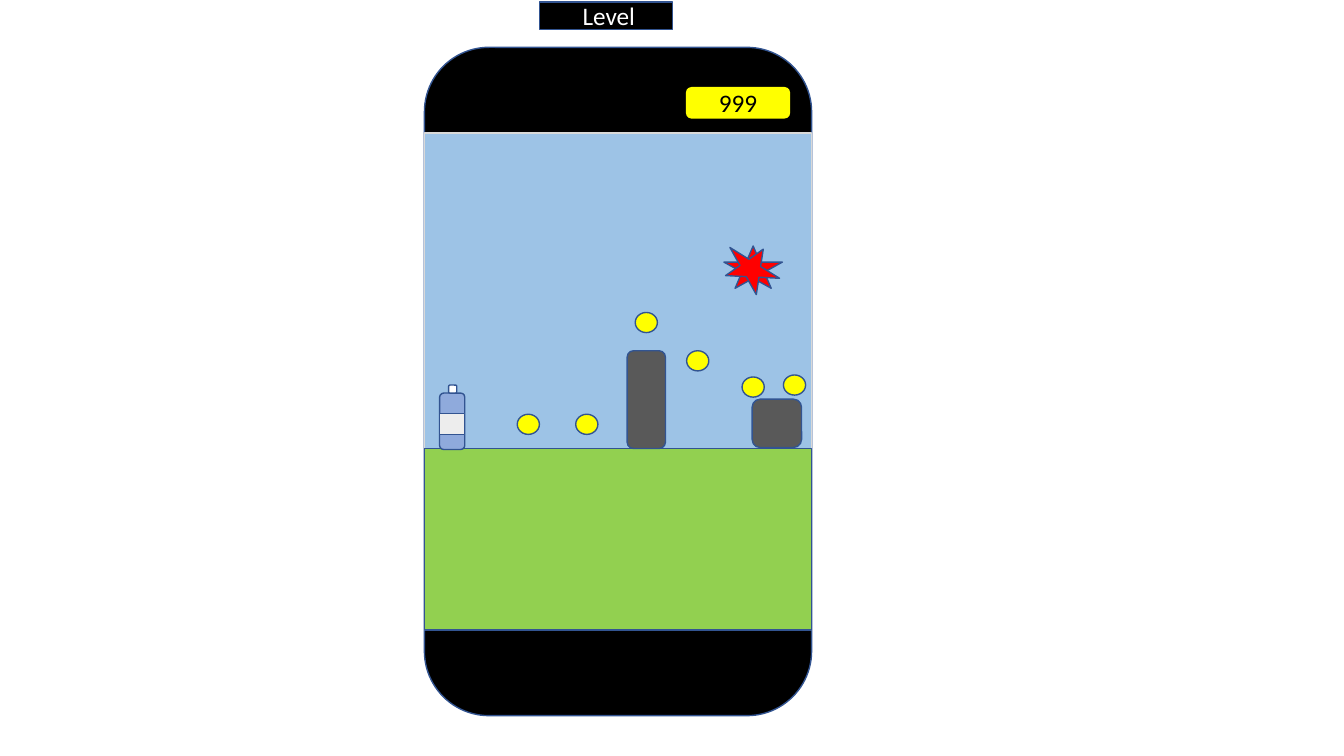
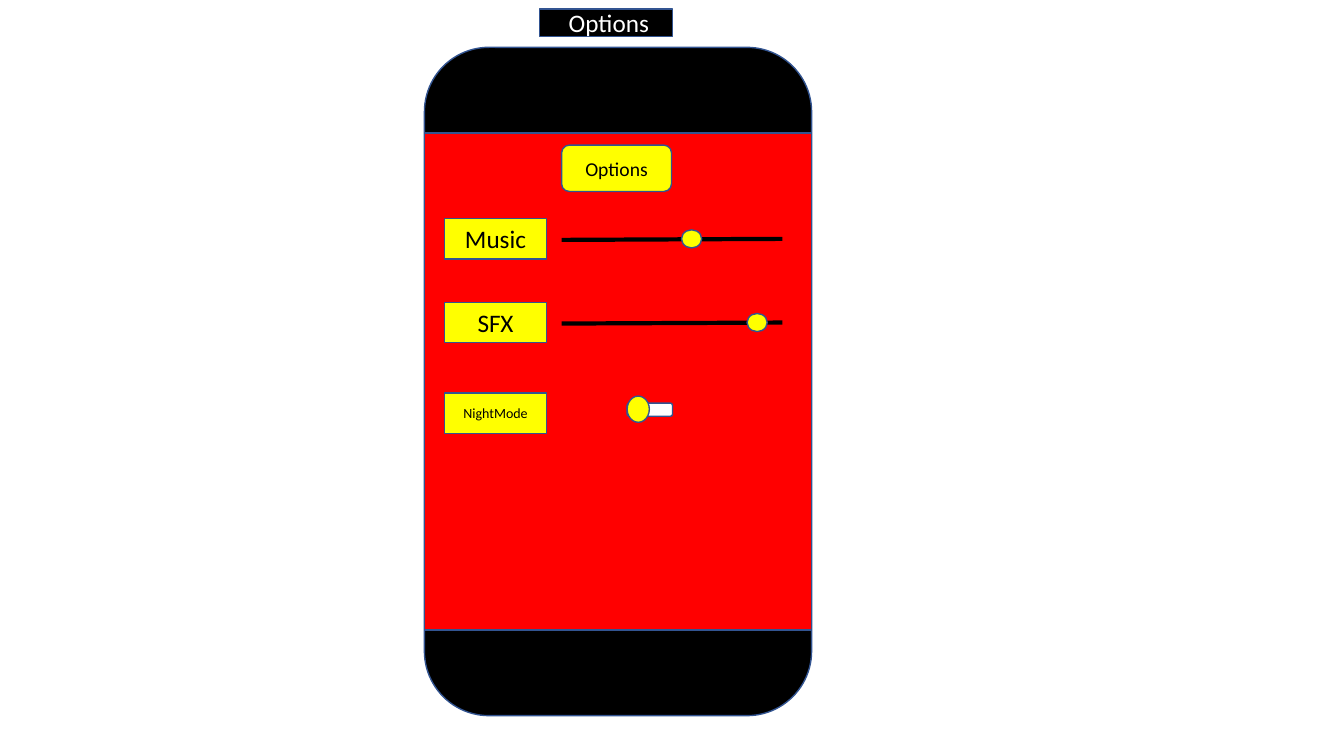
from lxml.etree import SubElement
from pptx import Presentation
from pptx.dml.color import RGBColor
from pptx.enum.shapes import MSO_CONNECTOR, MSO_SHAPE
from pptx.enum.text import MSO_ANCHOR, MSO_AUTO_SIZE, PP_ALIGN
from pptx.oxml.ns import qn
from pptx.util import Inches, Pt

COLORS = {
    "black": "000000", "white": "FFFFFF", "outline": "325491",
    "yellow": "FFFF00", "red": "FF0000", "sky": "9DC3E6",
    "sky_edge": "D9D9D9", "grass": "92D050", "bottle": "8FAADC",
    "label": "EDEDED", "stone": "595959",
}
FONT = "Calibri"
TITLE_ONLY = 5
PHONE_LEFT, PHONE_WIDTH = 4.21, 3.84
RECTANGLE = MSO_SHAPE.RECTANGLE
ROUNDED = MSO_SHAPE.ROUNDED_RECTANGLE
OVAL = MSO_SHAPE.OVAL
STAR = MSO_SHAPE.STAR_5_POINT


def color(name):
    """Look up a palette colour."""
    return RGBColor.from_string(COLORS[name])


def paint(shape, fill, line="outline"):
    """Give a shape a solid fill and a one-point outline."""
    shape.fill.solid()
    shape.fill.fore_color.rgb = color(fill)
    shape.line.color.rgb = color(line)
    shape.line.width = Pt(1)


def write_text(shape, text, size=18, font_color="black"):
    """Write one centred line of text in a shape."""
    frame = shape.text_frame
    frame.word_wrap = True
    frame.auto_size = MSO_AUTO_SIZE.NONE
    frame.vertical_anchor = MSO_ANCHOR.MIDDLE
    paragraph = frame.paragraphs[0]
    paragraph.alignment = PP_ALIGN.CENTER
    run = paragraph.add_run()
    run.text = text
    run.font.name = FONT
    run.font.size = Pt(size)
    run.font.color.rgb = color(font_color)


def add_block(slide, kind, box, fill, line="outline"):
    """Add a filled preset shape; box is left, top, width, height."""
    shape = slide.shapes.add_shape(kind, *[Inches(length) for length in box])
    shape.shadow.inherit = False
    paint(shape, fill, line)
    return shape


def add_track(slide, left, right, top):
    """Add the thick, slightly rising line of a slider."""
    track = slide.shapes.add_connector(
        MSO_CONNECTOR.STRAIGHT,
        Inches(left), Inches(top + 0.01), Inches(right), Inches(top))
    track.line.color.rgb = color("black")
    track.line.width = Pt(3)
    SubElement(track.element.spPr, qn("a:effectLst"))


def add_screen(presentation, title, title_top, fill, line="outline"):
    """Add a slide with its title band and a phone showing a plain screen."""
    slide = presentation.slides.add_slide(
        presentation.slide_layouts[TITLE_ONLY])
    band = slide.shapes.title
    band.left, band.top = Inches(5.35), Inches(title_top)
    band.width, band.height = Inches(1.32), Inches(0.27)
    paint(band, "black")
    write_text(band, title, font_color="white")
    add_block(slide, ROUNDED, (PHONE_LEFT, 0.47, PHONE_WIDTH, 6.63), "black")
    add_block(slide, RECTANGLE, (PHONE_LEFT, 1.32, PHONE_WIDTH, 4.93),
              fill, line)
    return slide


def add_bottle(slide):
    """Draw the player's bottle: body, label and cap."""
    add_block(slide, ROUNDED, (4.36, 3.9, 0.25, 0.56), "bottle")
    add_block(slide, RECTANGLE, (4.36, 4.1, 0.25, 0.21), "label")
    add_block(slide, ROUNDED, (4.45, 3.82, 0.08, 0.08), "white")


def build_level(presentation):
    """Build the game level with obstacles, coins, score and explosion."""
    slide = add_screen(presentation, " Level", 0.02, "sky", "sky_edge")
    add_block(slide, RECTANGLE, (PHONE_LEFT, 4.45, PHONE_WIDTH, 1.8), "grass")
    add_bottle(slide)
    for obstacle in ((6.22, 3.48, 0.38, 0.97), (7.46, 3.96, 0.49, 0.48)):
        add_block(slide, ROUNDED, obstacle, "stone")
    coins = ((5.13, 4.11), (5.71, 4.11), (6.3, 3.1),
             (6.81, 3.48), (7.36, 3.74), (7.77, 3.72))
    for left, top in coins:
        add_block(slide, OVAL, (left, top, 0.22, 0.2), "yellow")
    score = add_block(slide, ROUNDED, (6.81, 0.87, 1.02, 0.3),
                      "yellow", "yellow")
    write_text(score, "999")
    for left, angle in ((7.18, 0), (7.17, 31.8)):
        star = add_block(slide, STAR, (left, 2.44, 0.58, 0.42), "red")
        star.rotation = angle


def add_option(slide, text, top, size=18):
    """Add the name box of one setting."""
    box = add_block(slide, RECTANGLE, (4.41, top, 1.01, 0.4), "yellow")
    write_text(box, text, size=size)


def build_options(presentation):
    """Build the options screen with two sliders and a switch."""
    slide = add_screen(presentation, " Options", 0.09, "red")
    heading = add_block(slide, ROUNDED, (5.57, 1.44, 1.09, 0.46), "yellow")
    write_text(heading, "Options", size=14)
    for text, top, knob_left in (("Music", 2.17, 6.76), ("SFX", 3, 7.41)):
        add_option(slide, text, top)
        add_track(slide, 5.57, 7.76, top + 0.2)
        add_block(slide, OVAL, (knob_left, top + 0.11, 0.2, 0.18), "yellow")
    add_option(slide, "NightMode", 3.9, size=10)
    add_block(slide, ROUNDED, (6.22, 4, 0.45, 0.13), "white")
    add_block(slide, OVAL, (6.22, 3.93, 0.22, 0.26), "yellow")


def main():
    """Create the presentation and save it."""
    presentation = Presentation()
    presentation.slide_width = Inches(13.33)
    presentation.slide_height = Inches(7.5)
    build_level(presentation)
    build_options(presentation)
    presentation.save("out.pptx")


main()
